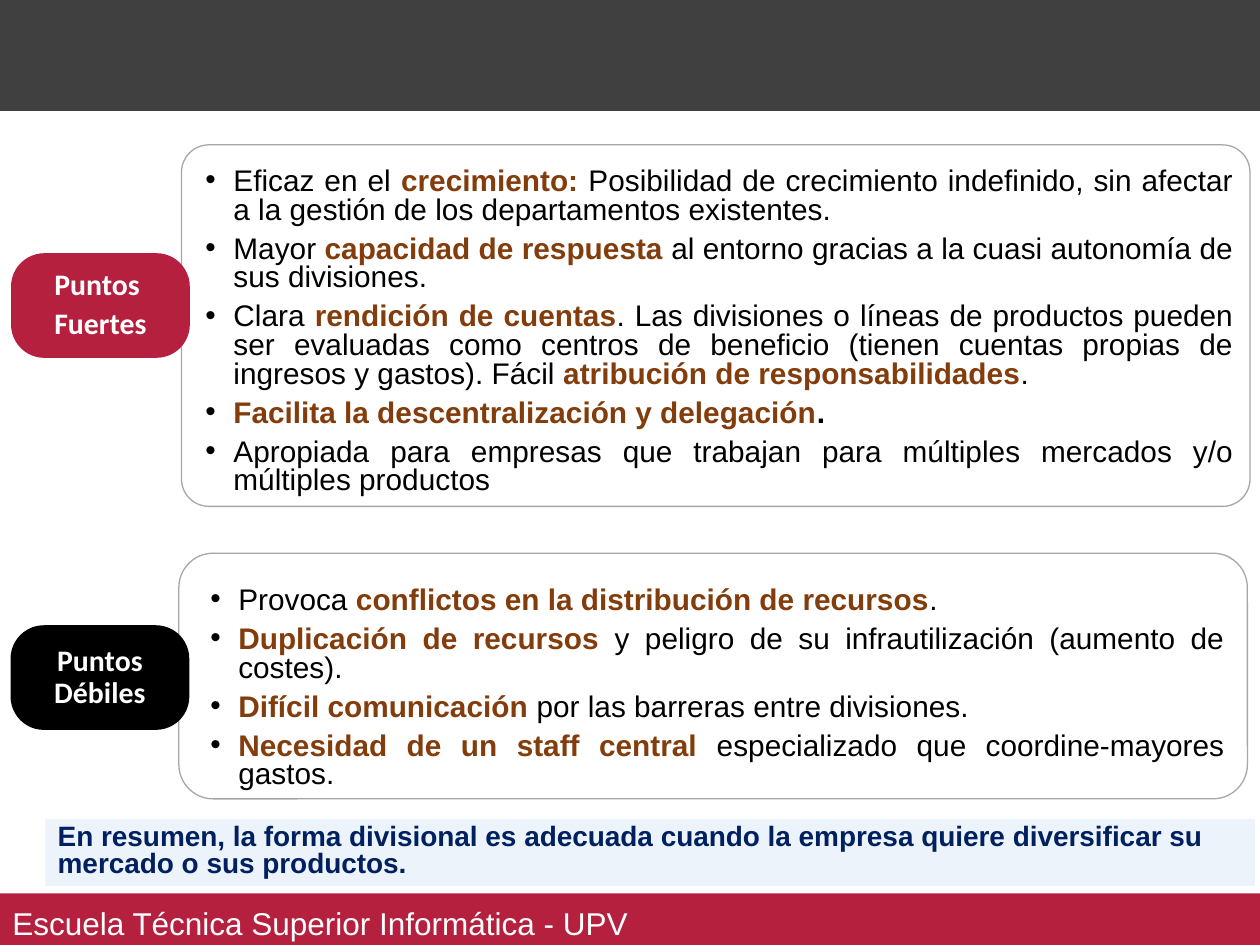
from typing import NamedTuple

from lxml.etree import SubElement
from pptx import Presentation
from pptx.dml.color import RGBColor
from pptx.enum.shapes import MSO_SHAPE
from pptx.enum.text import MSO_ANCHOR, MSO_AUTO_SIZE, PP_ALIGN
from pptx.oxml.ns import qn
from pptx.util import Pt

BLACK, WHITE, RED, BROWN = "000000", "FFFFFF", "B5203F", "833C0B"
GRAY, DARK, PALE, NAVY = "A7A7A7", "404040", "ECF3FA", "002060"


class Box(NamedTuple):
    left: float
    top: float
    width: float
    height: float


class Bit(NamedTuple):
    text: str
    bold: bool = False
    hue: str = BLACK


class Style(NamedTuple):
    font: str
    size: float
    hue: str
    bold: bool = False
    align: PP_ALIGN = PP_ALIGN.LEFT
    line: float = 1.0
    gap: float = 0


class Panel(NamedTuple):
    card: Box
    round: float
    list: Box
    items: list[list[Bit]]
    pill: Box
    fill: str
    label: list[str]


def key(text: str) -> Bit:
    return Bit(text, True, BROWN)


def tint(hue: str) -> RGBColor:
    return RGBColor.from_string(hue)


def place(shape, box: Box) -> None:
    shape.left, shape.top, shape.width, shape.height = map(Pt, box)


def frame(shape, side: float, edge: float, anchor=MSO_ANCHOR.MIDDLE):
    text = shape.text_frame
    text.word_wrap = True
    text.auto_size = MSO_AUTO_SIZE.NONE
    text.vertical_anchor = anchor
    text.margin_left = text.margin_right = Pt(side)
    text.margin_top = text.margin_bottom = Pt(edge)
    return text


def format(para, style: Style, first: bool) -> None:
    para.alignment = style.align
    para.line_spacing = style.line
    para.space_before = Pt(0 if first else style.gap)
    font = para.font
    font.name, font.size, font.bold = style.font, Pt(style.size), style.bold
    font.color.rgb = tint(style.hue)


def draw(slide, box: Box, fill: str = "", line: str = "", round: float = 0):
    kind = MSO_SHAPE.ROUNDED_RECTANGLE if round else MSO_SHAPE.RECTANGLE
    shape = slide.shapes.add_shape(kind, *map(Pt, box))
    shape.shadow.inherit = False
    if round:
        shape.adjustments[0] = round
    if fill:
        shape.fill.solid()
        shape.fill.fore_color.rgb = tint(fill)
    else:
        shape.fill.background()
    if line:
        shape.line.color.rgb = tint(line)
        shape.line.width = Pt(0.75)
    else:
        shape.line.fill.background()
    return shape


def write(text, lines: list[str], style: Style) -> None:
    for i, line in enumerate(lines):
        para = text.add_paragraph() if i else text.paragraphs[0]
        para.add_run().text = line
        format(para, style, i == 0)


def bullet(para) -> None:
    props = para._p.get_or_add_pPr()
    props.set("marL", str(Pt(16)))
    props.set("indent", str(-Pt(16)))
    color = SubElement(props, qn("a:buClr"))
    SubElement(color, qn("a:srgbClr"), val=BLACK)
    SubElement(props, qn("a:buFont"), typeface="Arial")
    SubElement(props, qn("a:buChar"), char="•")


def fill_list(holder, panel: Panel, style: Style) -> None:
    place(holder, panel.list)
    text = frame(holder, 3.6, 3.6)
    for i, item in enumerate(panel.items):
        para = text.add_paragraph() if i else text.paragraphs[0]
        bullet(para)
        format(para, style, i == 0)
        for bit in item:
            run = para.add_run()
            run.text = bit.text
            run.font.bold = bit.bold
            run.font.color.rgb = tint(bit.hue)


PANELS = [
    Panel(
        Box(103.7, 82.8, 610.6, 206.6), 0.076,
        Box(113.8, 91.4, 594.7, 197.3),
        [
            [Bit("Eficaz en el "), key("crecimiento:"),
             Bit(" Posibilidad de crecimiento indefinido, sin afectar a la "
                 "gestión de los departamentos existentes. ")],
            [Bit("Mayor "), key("capacidad de respuesta "),
             Bit("al entorno gracias a la cuasi autonomía de sus divisiones.")],
            [Bit("Clara "), key("rendición de cuentas"),
             Bit(". Las divisiones o líneas de productos pueden ser evaluadas "
                 "como centros de beneficio (tienen cuentas propias de ingresos "
                 "y gastos). Fácil "),
             key("atribución de responsabilidades"), Bit(".")],
            [key("Facilita la descentralización y delegación"), Bit(".", True)],
            [Bit("Apropiada para empresas que trabajan para múltiples mercados "
                 "y/o múltiples productos")],
        ],
        Box(6.3, 144.7, 102.2, 59.8), RED, ["Puntos ", "Fuertes"],
    ),
    Panel(
        Box(102.2, 316.1, 610.6, 140.4), 0.14,
        Box(116.6, 342.7, 586.8, 102.2),
        [
            [Bit("Provoca "), key("conflictos en la distribución de recursos"),
             Bit(".")],
            [key("Duplicación de recursos "),
             Bit("y peligro de su infrautilización (aumento de costes).")],
            [key("Difícil comunicación "),
             Bit("por las barreras entre divisiones.")],
            [key("Necesidad de un staff central "),
             Bit("especializado que coordine-mayores gastos.")],
        ],
        Box(6, 357.3, 102.2, 59.8), BLACK, ["Puntos Débiles"],
    ),
]


def main() -> None:
    deck = Presentation()
    deck.slide_width, deck.slide_height = Pt(720), Pt(540)
    slide = deck.slides.add_slide(deck.slide_layouts[3])
    title, *lists = slide.placeholders
    title._element.getparent().remove(title._element)

    body = Style("Arial", 17, BLACK, align=PP_ALIGN.JUSTIFY, line=0.8, gap=6)
    label = Style("Calibri", 17, WHITE, True, PP_ALIGN.CENTER, 0.9, 4)
    foot = Style("Arial", 18, WHITE)
    close = Style("Arial", 16, NAVY, True, line=0.8)

    draw(slide, Box(0, 0, 720, 63.4), DARK)
    bar = draw(slide, Box(0, 510.5, 720, 33.8), RED)
    write(frame(bar, 7.2, 7.2), ["Escuela Técnica Superior Informática - UPV"], foot)

    for holder, panel in zip(lists, PANELS):
        draw(slide, panel.card, line=GRAY, round=panel.round)
        fill_list(holder, panel, body)
        pill = draw(slide, panel.pill, panel.fill, round=0.319)
        write(frame(pill, 3.6, 3.6), panel.label, label)

    note = draw(slide, Box(25.9, 468, 691.2, 38.2), PALE)
    write(frame(note, 7.2, 3.6, MSO_ANCHOR.TOP),
          ["En resumen, la forma divisional es adecuada cuando la empresa quiere "
           "diversificar su mercado o sus productos."], close)

    deck.save("out.pptx")


if __name__ == "__main__":
    main()
